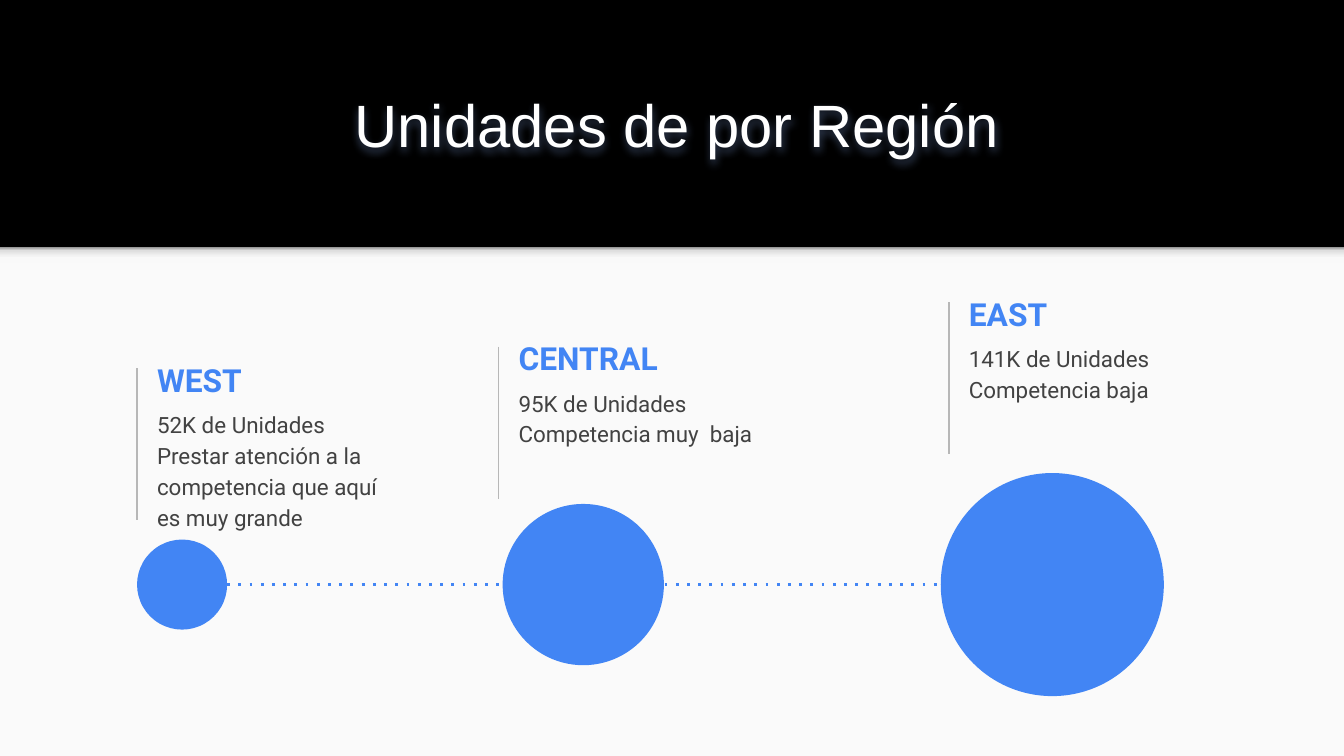
"""Build a slide that compares units per region with circles of growing size."""
from dataclasses import dataclass

from lxml import etree
from pptx import Presentation
from pptx import util as u
from pptx.dml.color import RGBColor
from pptx.enum import shapes, text
from pptx.oxml import parse_xml
from pptx.oxml.ns import nsdecls, qn

BLUE, GRAY, DARK, WHITE, PAPER, GLOW = "4285F4", "B7B7B7", "424242", "FFFFFF", "FAFAFA", "7F9FDB"
SLIDE_WIDTH = 10
SLIDE_HEIGHT = SLIDE_WIDTH * 9 / 16
PANEL_TOP = 1.84
AXIS_Y = 4.35


@dataclass(frozen=True)
class Region:
    name: str
    detail: str
    rule_x: float
    rule_top: float
    circle_left: float
    diameter: float


REGIONS = [
    Region("WEST", "52K de Unidades Prestar atención a la competencia que aquí es muy grande",
           1.02, 2.74, 1.02, 0.67),
    Region("CENTRAL", "95K de Unidades Competencia muy  baja", 3.71, 2.58, 3.74, 1.2),
    Region("EAST", "141K de Unidades Competencia baja", 7.06, 2.25, 7, 1.66),
]


def color(value: str) -> RGBColor:
    """Turn a hex string into a colour."""
    return RGBColor.from_string(value)


def add_shape(slide, kind, left: float, top: float, width: float, height: float, fill: str):
    """Draw a plain filled shape without outline or shadow."""
    shape = slide.shapes.add_shape(
        kind, u.Inches(left), u.Inches(top), u.Inches(width), u.Inches(height))
    shape.shadow.inherit = False
    shape.fill.solid()
    shape.fill.fore_color.rgb = color(fill)
    shape.line.fill.background()
    return shape


def add_line(slide, start: tuple[float, float], end: tuple[float, float],
             stroke: str, width: float, dash: str = "solid") -> None:
    """Draw a straight line without shadow."""
    line = slide.shapes.add_connector(
        shapes.MSO_CONNECTOR.STRAIGHT, *(u.Inches(value) for value in (*start, *end)))
    line.line.color.rgb = color(stroke)
    line.line.width = u.Pt(width)
    etree.SubElement(line.line._get_or_add_ln(), qn("a:prstDash"), val=dash)
    etree.SubElement(line._element.spPr, qn("a:effectLst"))


def add_text(slide, box: tuple[float, float, float, float], words: str, size: float,
             fill: str, font: str = "Roboto", bold: bool = False,
             anchor=text.MSO_ANCHOR.TOP, spacing: float = 1.0):
    """Write one left-aligned paragraph in a wrapping text box."""
    shape = slide.shapes.add_textbox(*(u.Inches(value) for value in box))
    frame = shape.text_frame
    frame.word_wrap = True
    frame.vertical_anchor = anchor
    frame.margin_left = frame.margin_right = u.Inches(0.1)
    frame.margin_top = frame.margin_bottom = u.Inches(0.1)
    paragraph = frame.paragraphs[0]
    paragraph.line_spacing = spacing
    run = paragraph.add_run()
    run.text = words
    run.font.name, run.font.size, run.font.bold = font, u.Pt(size), bold
    run.font.color.rgb = color(fill)
    return shape


def add_panel(slide) -> None:
    """Draw the light lower panel and the soft shade along its top edge."""
    rectangle = shapes.MSO_SHAPE.RECTANGLE
    add_shape(slide, rectangle, 0, PANEL_TOP, SLIDE_WIDTH, SLIDE_HEIGHT - PANEL_TOP, PAPER)
    shade = add_shape(slide, rectangle, 0, PANEL_TOP, SLIDE_WIDTH, 0.12, PAPER)
    stops = [(0, "F9F9F9"), (36, "F9F9F9"), (80, "DEDEDE"), (100, "999999")]
    stop_xml = "".join(
        f'<a:gs pos="{position * 1000}"><a:srgbClr val="{value}"/></a:gs>'
        for position, value in stops)
    gradient = parse_xml(
        f'<a:gradFill {nsdecls("a")}><a:gsLst>{stop_xml}</a:gsLst>'
        '<a:lin ang="16200000" scaled="0"/></a:gradFill>')
    properties = shade._element.spPr
    properties.replace(properties.find(qn("a:solidFill")), gradient)


def add_heading(slide) -> None:
    """Write the slide heading with its blue glow."""
    heading = add_text(slide, (2.54, 0.4, 5.76, 0.89), "Unidades de por Región", 32, WHITE,
                       font="Arial", anchor=text.MSO_ANCHOR.BOTTOM, spacing=1.15)
    heading._element.spPr.append(parse_xml(
        f'<a:effectLst {nsdecls("a")}><a:outerShdw blurRad="57150" dist="19050" dir="5400000" '
        f'algn="bl" rotWithShape="0"><a:srgbClr val="{GLOW}"><a:alpha val="40000"/>'
        '</a:srgbClr></a:outerShdw></a:effectLst>'))


def add_label(slide, region: Region) -> None:
    """Write a region's name and detail beside a vertical rule."""
    x, top = region.rule_x, region.rule_top
    add_line(slide, (x, top), (x, top + 1.13), GRAY, 0.75)
    add_text(slide, (x + 0.05, top - 0.13, 1.98, 0.43), region.name, 17, BLUE,
             bold=True, anchor=text.MSO_ANCHOR.MIDDLE)
    add_text(slide, (x + 0.05, top + 0.19, 1.98, 0.63), region.detail, 12, DARK, spacing=1.15)


def main() -> None:
    """Build and save the slide."""
    presentation = Presentation()
    presentation.slide_width = u.Inches(SLIDE_WIDTH)
    presentation.slide_height = u.Inches(SLIDE_HEIGHT)
    slide = presentation.slides.add_slide(presentation.slide_layouts[6])
    slide.background.fill.solid()
    slide.background.fill.fore_color.rgb = color("000000")
    add_panel(slide)
    add_heading(slide)
    for region in REGIONS:
        add_label(slide, region)
    first, last = REGIONS[0], REGIONS[-1]
    add_line(slide, (first.circle_left + first.diameter, AXIS_Y),
             (last.circle_left, AXIS_Y), BLUE, 1.5, "dot")
    for region in REGIONS:
        add_shape(slide, shapes.MSO_SHAPE.OVAL, region.circle_left,
                  AXIS_Y - region.diameter / 2, region.diameter, region.diameter, BLUE)
    presentation.save("out.pptx")


if __name__ == "__main__":
    main()
